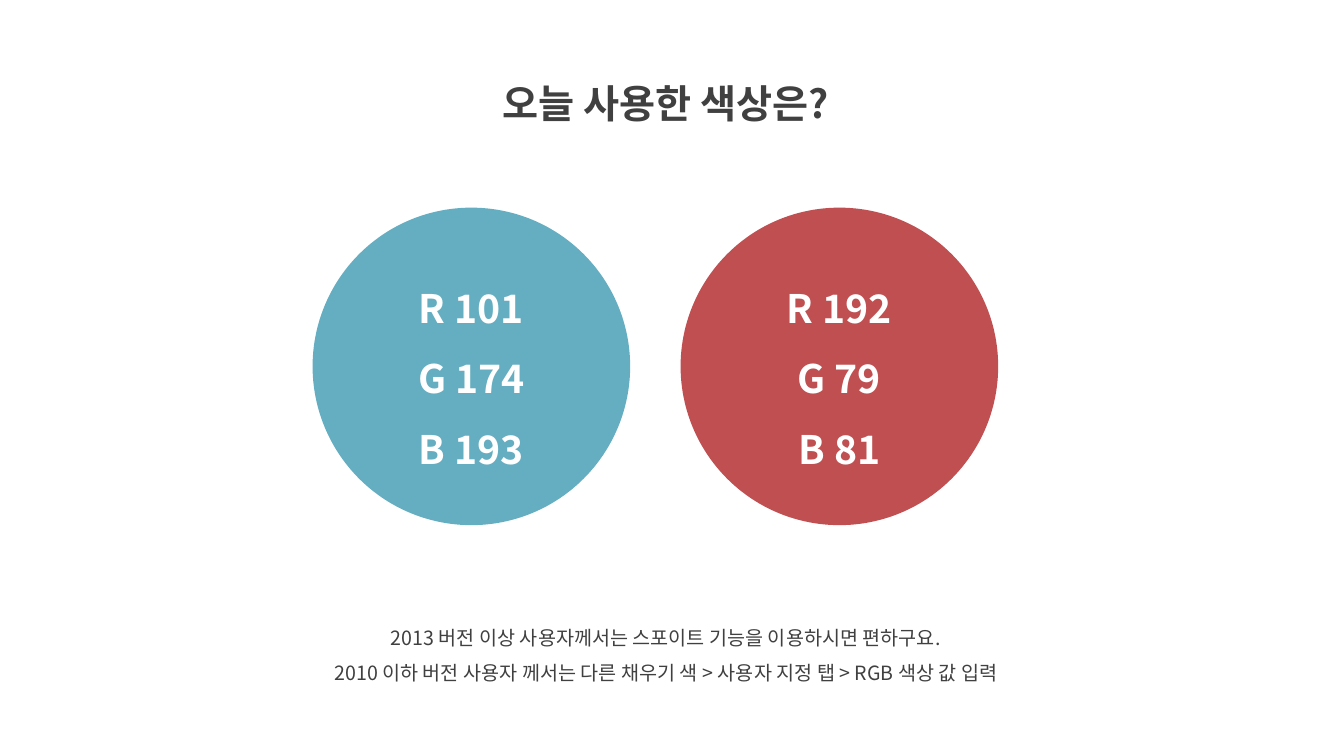
from dataclasses import dataclass

from lxml.etree import SubElement
from pptx import Presentation
from pptx.dml.color import RGBColor
from pptx.enum.shapes import MSO_AUTO_SHAPE_TYPE as ShapeType
from pptx.enum.text import MSO_ANCHOR, MSO_AUTO_SIZE, PP_ALIGN
from pptx.oxml.ns import qn
from pptx.shapes.autoshape import Shape
from pptx.slide import Slide
from pptx.util import Inches, Pt

FONT = "Noto Sans CJK KR"
DARK_GRAY = RGBColor(64, 64, 64)
WHITE = RGBColor(255, 255, 255)
BLUE = RGBColor(101, 174, 193)
RED = RGBColor(192, 79, 81)

CIRCLE_LEFT = 3.1
CIRCLE_TOP = 2.06
CIRCLE_SIZE = 3.15
CIRCLE_STEP = 3.65

PARAGRAPH_FORMAT = {"alignment": PP_ALIGN.CENTER, "line_spacing": 1.5}
HEADING_FORMAT = {"name": FONT, "size": Pt(28), "bold": True}
BODY_FORMAT = {"name": FONT, "size": Pt(14), "bold": False}


@dataclass(frozen=True)
class Caption:
    left: float
    top: float
    width: float
    height: float
    lines: tuple[str, ...]
    font_format: dict


CAPTIONS = (
    Caption(4.29, 0.5, 4.63, 0.72, ("오늘 사용한 색상은?",), HEADING_FORMAT),
    Caption(
        2.61, 6.04, 7.99, 0.81,
        (
            "2013 버전 이상 사용자께서는 스포이트 기능을 이용하시면 편하구요.",
            "2010 이하 버전 사용자 께서는 다른 채우기 색 > 사용자 지정 탭 > RGB 색상 값 입력",
        ),
        BODY_FORMAT,
    ),
)


def apply_format(target: object, values: dict) -> None:
    for attribute, value in values.items():
        setattr(target, attribute, value)


def write_lines(
    shape: Shape, lines: tuple[str, ...], font_format: dict, color: RGBColor
) -> None:
    frame = shape.text_frame
    frame.word_wrap = True
    for index, line in enumerate(lines):
        paragraph = frame.add_paragraph() if index else frame.paragraphs[0]
        apply_format(paragraph, PARAGRAPH_FORMAT)
        run = paragraph.add_run()
        run.text = line
        apply_format(run.font, font_format)
        run.font.color.rgb = color
        SubElement(run.font._element, qn("a:ea"), typeface=FONT)


def draw_caption(slide: Slide, caption: Caption) -> None:
    box = slide.shapes.add_textbox(
        Inches(caption.left), Inches(caption.top),
        Inches(caption.width), Inches(caption.height),
    )
    write_lines(box, caption.lines, caption.font_format, DARK_GRAY)
    box.text_frame.auto_size = MSO_AUTO_SIZE.SHAPE_TO_FIT_TEXT


def draw_color_circle(slide: Slide, left: float, color: RGBColor) -> None:
    circle = slide.shapes.add_shape(
        ShapeType.OVAL, Inches(left), Inches(CIRCLE_TOP),
        Inches(CIRCLE_SIZE), Inches(CIRCLE_SIZE),
    )
    circle.shadow.inherit = False
    circle.fill.solid()
    circle.fill.fore_color.rgb = color
    circle.line.fill.background()
    circle.text_frame.vertical_anchor = MSO_ANCHOR.MIDDLE
    channels = tuple(f"{letter} {value}" for letter, value in zip("RGB", color))
    write_lines(circle, channels, HEADING_FORMAT, WHITE)


def main() -> None:
    presentation = Presentation()
    presentation.slide_width = Inches(13.33)
    presentation.slide_height = Inches(7.5)
    slide = presentation.slides.add_slide(presentation.slide_layouts[6])
    for caption in CAPTIONS:
        draw_caption(slide, caption)
    for index, color in enumerate((BLUE, RED)):
        draw_color_circle(slide, CIRCLE_LEFT + index * CIRCLE_STEP, color)
    presentation.save("out.pptx")


if __name__ == "__main__":
    main()
